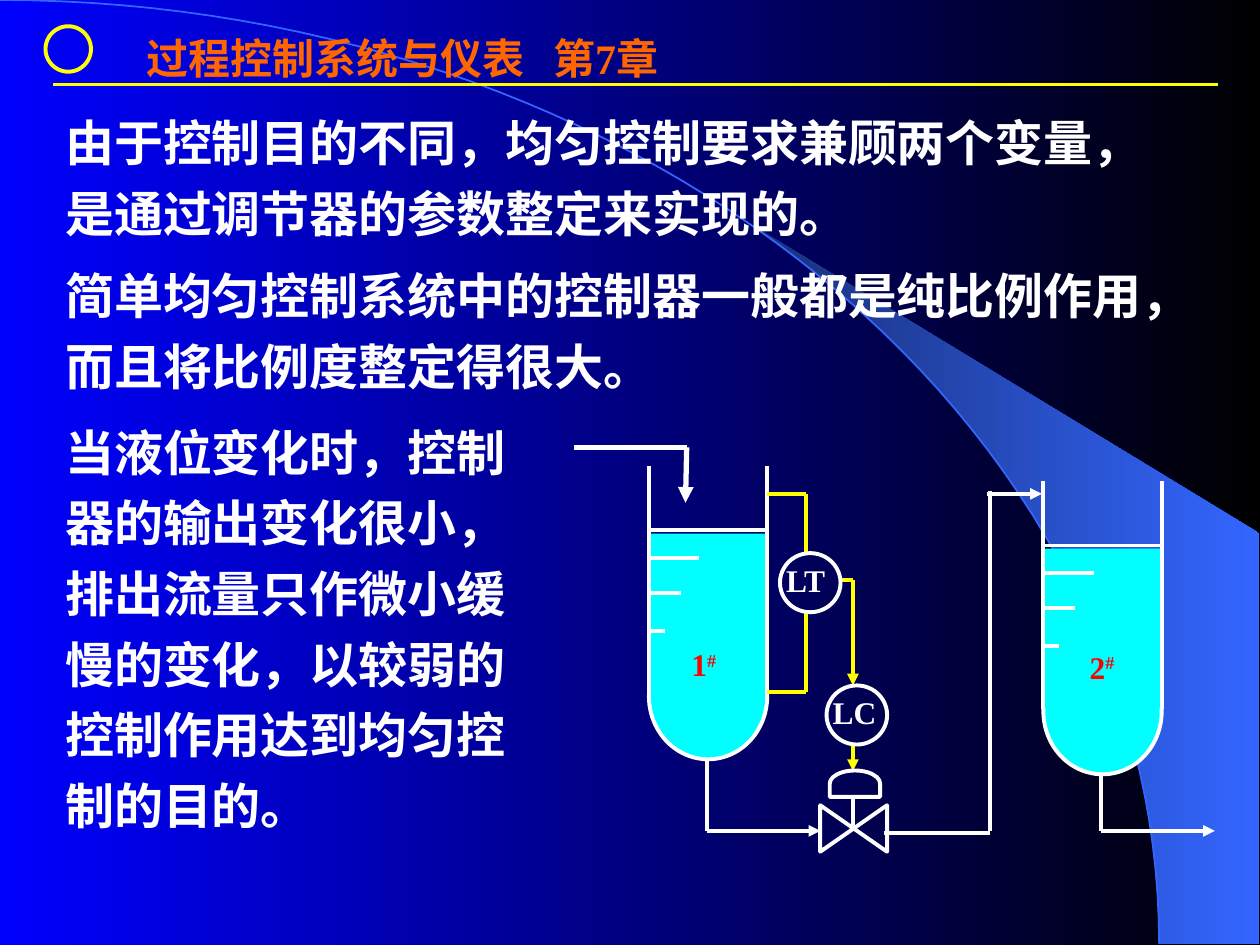
"""Build the uniform level control slide with two connected tanks."""
from math import asin, cos, pi, sin

from lxml import etree
from pptx import Presentation
from pptx.dml.color import RGBColor
from pptx.enum.shapes import MSO_CONNECTOR, MSO_SHAPE
from pptx.enum.text import MSO_ANCHOR, MSO_AUTO_SIZE, PP_ALIGN
from pptx.oxml.ns import qn
from pptx.util import Pt

OVAL, RECT = MSO_SHAPE.OVAL, MSO_SHAPE.RECTANGLE
COLLATE, DELAY = MSO_SHAPE.FLOWCHART_COLLATE, MSO_SHAPE.FLOWCHART_DELAY
STRAIGHT = MSO_CONNECTOR.STRAIGHT
LEFT, JUSTIFY = PP_ALIGN.LEFT, PP_ALIGN.JUSTIFY
TOP, NO_FIT = MSO_ANCHOR.TOP, MSO_AUTO_SIZE.NONE

WHITE = RGBColor(0xFF, 0xFF, 0xFF)
YELLOW = RGBColor(0xFF, 0xFF, 0x00)
CYAN = RGBColor(0x00, 0xFF, 0xFF)
RED = RGBColor(0xFF, 0x00, 0x00)
ORANGE = RGBColor(0xFF, 0x66, 0x00)
BLUE = RGBColor(0x00, 0x00, 0xFF)
BLACK = RGBColor(0x00, 0x00, 0x00)
SKY = RGBColor(0x33, 0x66, 0xFF)
NAVY = RGBColor(0x18, 0x2F, 0x76)


class Board:
    font = "Times New Roman"
    weight = 2.25

    def __init__(self, slide):
        self.s = slide

    def gradient(self, fill, *colors):
        fill.gradient()
        fill.gradient_angle = 0
        for stop, color in zip(fill.gradient_stops, colors):
            stop.color.rgb = color

    def paint(self, sp, fill=None, line=None, weight=weight):
        sp.shadow.inherit = False
        if fill is None:
            sp.fill.background()
        else:
            sp.fill.solid()
            sp.fill.fore_color.rgb = fill
        if line is None:
            sp.line.fill.background()
        else:
            sp.line.color.rgb = line
            sp.line.width = Pt(weight)

    def shape(self, kind, x, y, w, h, fill=None, line=None, rotation=0):
        sp = self.s.shapes.add_shape(kind, Pt(x), Pt(y), Pt(w), Pt(h))
        self.paint(sp, fill, line)
        sp.rotation = rotation
        return sp

    def outline(self, points, close):
        first, *rest = [(Pt(x), Pt(y)) for x, y in points]
        builder = self.s.shapes.build_freeform(*first)
        builder.add_line_segments(rest, close=close)
        return builder.convert_to_shape()

    def line(self, x1, y1, x2, y2, color=WHITE, weight=weight, arrow=False):
        c = self.s.shapes.add_connector(STRAIGHT, Pt(x1), Pt(y1), Pt(x2), Pt(y2))
        c.line.color.rgb = color
        c.line.width = Pt(weight)
        if arrow:
            etree.SubElement(c.line._get_or_add_ln(), qn("a:tailEnd"), type="triangle")
        etree.SubElement(c._element.spPr, qn("a:effectLst"))

    def run(self, p, text, size, color, baseline=0):
        r = p.add_run()
        r.text = text
        r.font.name = self.font
        r.font.size = Pt(size)
        r.font.bold = True
        r.font.color.rgb = color
        if baseline:
            r.font._element.set("baseline", str(baseline * 1000))

    def title(self, x, y, w, h, text, size, color, tab):
        sp = self.s.shapes.title
        sp.left, sp.top, sp.width, sp.height = Pt(x), Pt(y), Pt(w), Pt(h)
        sp._element.getparent().append(sp._element)
        tf = sp.text_frame
        tf.auto_size, tf.vertical_anchor, tf.word_wrap = NO_FIT, TOP, True
        p = tf.paragraphs[0]
        p.alignment = LEFT
        tabs = etree.SubElement(p._p.get_or_add_pPr(), qn("a:tabLst"))
        etree.SubElement(tabs, qn("a:tab"), pos=str(Pt(tab)), algn="l")
        self.run(p, text, size, color)

    def text(self, x, y, w, h, paragraphs, size, color=WHITE, align=LEFT):
        tf = self.s.shapes.add_textbox(Pt(x), Pt(y), Pt(w), Pt(h)).text_frame
        tf.word_wrap = True
        for i, runs in enumerate(paragraphs):
            p = tf.add_paragraph() if i else tf.paragraphs[0]
            p.alignment = align
            p.line_spacing = 1.2
            p.space_before = Pt(7 if i else 0)
            for text, baseline in runs:
                self.run(p, text, size, color, baseline)

    def tank(self, x, y, number, label_x, label_y, outlet_y=474.8):
        w, mid = 67.6, 33
        self.shape(OVAL, x, y + 95.5, w, 72, CYAN, WHITE)
        self.shape(RECT, x - 1, y + 38.5, w + 0.5, 91.2, CYAN)
        for wall in (x, x + w):
            self.line(wall, y, wall, y + 130)
        for depth, length in ((36.7, 66.5), (52.6, 28), (72.5, 17.6), (94, 8.3)):
            self.line(x + 0.7, y + depth, x + 0.7 + length, y + depth)
        self.line(x + mid, y + 167, x + mid, outlet_y)
        self.line(x + mid, outlet_y, x + mid + 65, outlet_y, arrow=True)
        self.text(label_x, label_y, 49, 45, [[(number, 0), ("#", 30)]], 18, RED, JUSTIFY)

    def instrument(self, x, y, name):
        self.shape(OVAL, x, y, 34.6, 33.8, line=WHITE)
        self.text(x - 3.6, y - 3.6, 49, 29, [[(name, 0)]], 18, align=JUSTIFY)


def backdrop(b):
    b.gradient(b.s.background.fill, BLUE, BLACK)
    rx, ry = 662.4, 539.3

    def arc(start, steps=60):
        angles = [start + (pi / 2 - start) * i / steps for i in range(steps + 1)]
        return [(rx * sin(a), ry * (1 - cos(a))) for a in angles]

    beam = b.outline(arc(asin(0.64)) + [(719.3, ry), (719.3, 304.6)], close=True)
    b.paint(beam)
    b.gradient(beam.fill, NAVY, SKY)
    b.paint(b.outline(arc(0), close=False), line=SKY, weight=1)


def header(b):
    b.line(30.2, 48.2, 696.2, 48.2, YELLOW, 1.5)
    b.shape(OVAL, 26, 15, 26, 26, line=YELLOW)
    b.title(76.3, 15.1, 323.3, 65, "过程控制系统与仪表\t第7章", 24, ORANGE, 232.5)


def body(b):
    b.text(30.2, 54, 656, 175.7, [
        [("由于控制目的不同，均匀控制要求兼顾两个变量，是通过调节器的参数整定来实现的。", 0)],
        [("简单均匀控制系统中的控制器一般都是纯比例作用，而且将比例度整定得很大。", 0)],
    ], 28)
    b.text(30.2, 231.1, 283.7, 249, [
        [("当液位变化时，控制器的输出变化很小，排出流量只作微小缓慢的变化，"
          "以较弱的控制作用达到均匀控制的目的。", 0)],
    ], 28)


def diagram(b):
    b.tank(370.8, 266.4, "1", 388, 360.7)
    b.tank(596.2, 275, "2", 615.6, 362.2)

    b.line(328.3, 255.9, 392.4, 255.9, weight=3)
    b.line(392.4, 255.6, 391.7, 287.3, weight=3, arrow=True)

    tap_x, signal_x = 460.8, 487.4
    for y in (282.2, 395.6):
        b.line(438.5, y, tap_x, y, YELLOW)
    b.line(tap_x, 282.2, tap_x, 315.4, YELLOW)
    b.line(tap_x, 349.9, tap_x, 395.6, YELLOW)
    b.line(480.2, 331.2, signal_x, 331.2, YELLOW)
    b.line(signal_x, 331.2, signal_x, 391.7, YELLOW, arrow=True)
    b.line(signal_x, 425.5, signal_x, 440.6, YELLOW, arrow=True)
    b.instrument(445.7, 316.1, "LT")
    b.instrument(472.3, 391.7, "LC")

    b.shape(COLLATE, 474.5, 454.3, 26.6, 38.2, line=WHITE, rotation=270)
    b.shape(DELAY, 481, 433.4, 15.1, 28.8, line=WHITE, rotation=270)
    b.line(signal_x, 455.8, signal_x, 474.5)

    b.line(505.4, 475.9, 565.9, 475.9)
    b.line(565.9, 280.8, 565.9, 474.8)
    b.line(563.8, 282.2, 595.4, 282.2, arrow=True)


def main():
    prs = Presentation()
    prs.slide_width, prs.slide_height = Pt(720), Pt(540)
    b = Board(prs.slides.add_slide(prs.slide_layouts[5]))
    backdrop(b)
    header(b)
    body(b)
    diagram(b)
    prs.save("out.pptx")


if __name__ == "__main__":
    main()
